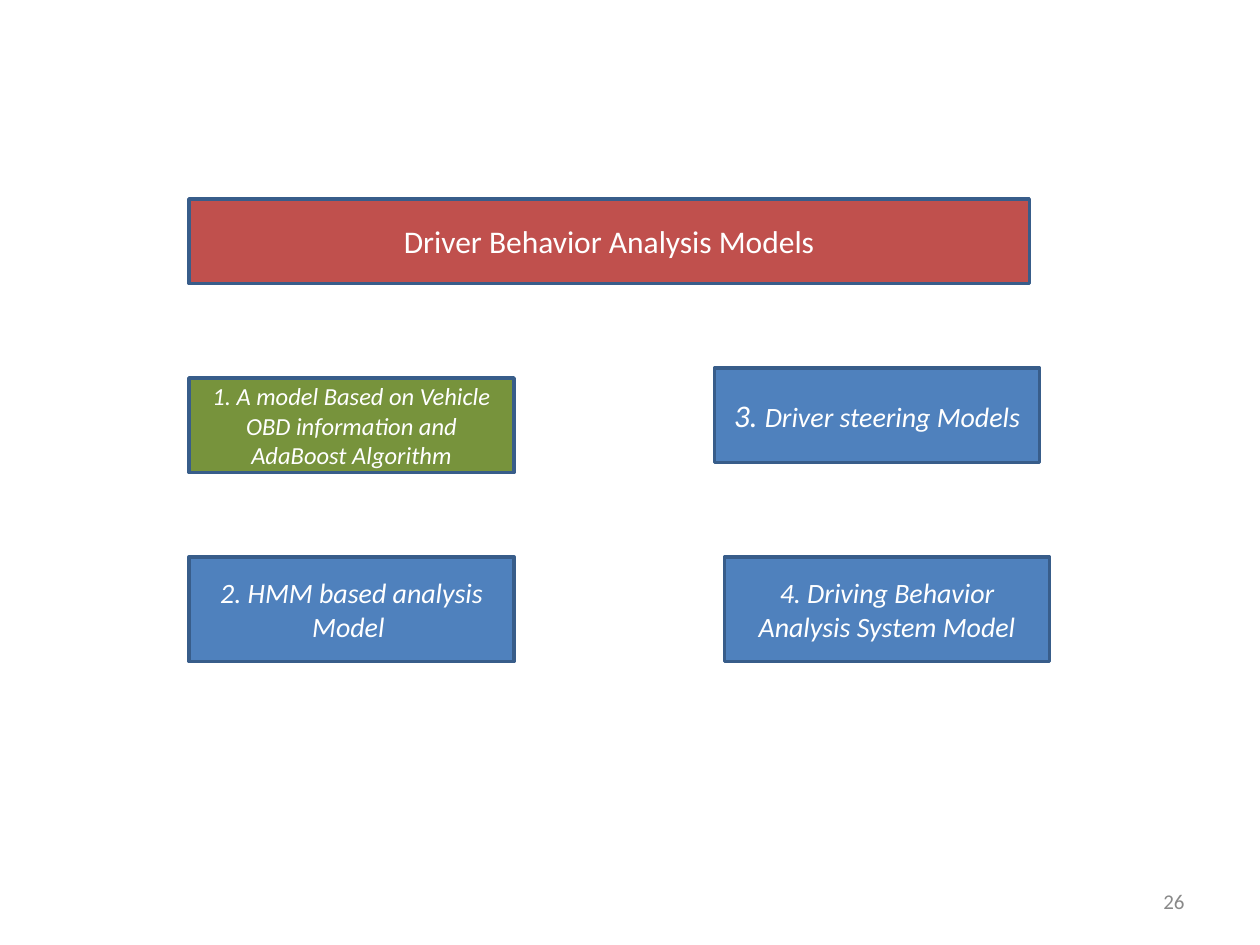
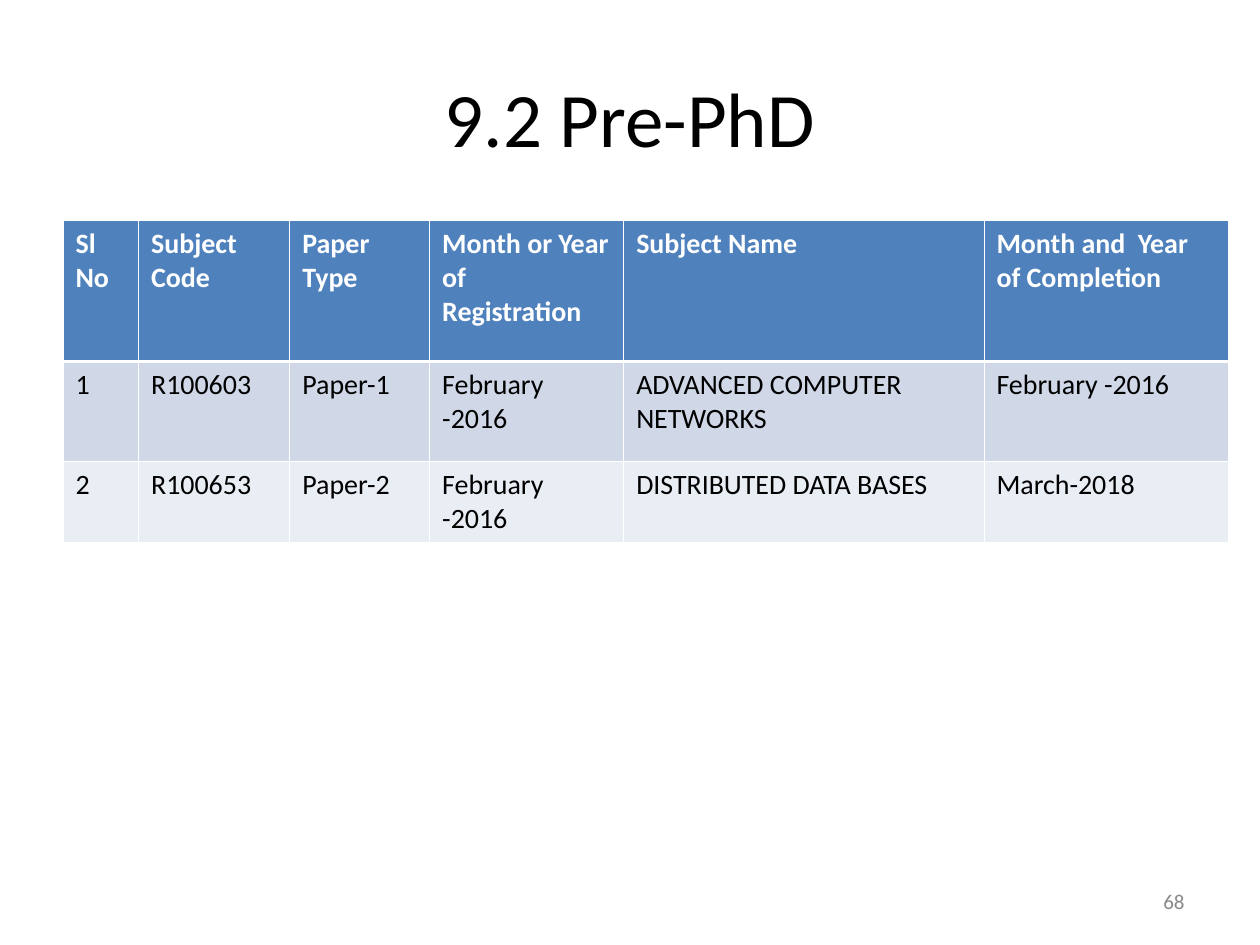
from pptx import Presentation
from pptx.dml.color import RGBColor
from pptx.enum.shapes import MSO_SHAPE as Shape
from pptx.enum.text import MSO_ANCHOR as Anchor, PP_ALIGN as Align
from pptx.oxml import parse_xml
from pptx.oxml.ns import nsdecls
from pptx.util import Inches, Pt

WHITE, BLACK, GRAY = "FFFFFF", "000000", "898989"
RED, GREEN, BLUE, OUTLINE = "C0504D", "77933C", "4F81BD", "385D8A"
ROW_FILLS = [BLUE, "D0D8E8", "E9EDF4"]
THIN, THICK = 0.45, 1.47
BOX_WIDTH = 2.58

TITLE_FORMAT = {"size": Pt(44)}
BANNER_FORMAT = {"size": Pt(18)}
MODEL_FORMAT = {"size": Pt(16), "italic": True}
NUMBER_FORMAT = {"size": Pt(12)}
CELL_FORMAT = {"size": Pt(16)}

SUBJECT_COLUMNS = [0.6, 1.2, 1.11, 1.54, 2.86, 1.94]
SUBJECT_ROW_HEIGHTS = [1.12, 0.79, 0.64]
SUBJECTS = [
    ["Sl No", "Subject Code", "Paper Type", "Month or Year of Registration",
     "Subject Name", "Month and  Year of Completion"],
    ["1", "R100603", "Paper-1", "February -2016",
     "ADVANCED COMPUTER NETWORKS", "February -2016"],
    ["2", "R100653", "Paper-2", "February -2016",
     "DISTRIBUTED DATA BASES", "March-2018"],
]


def color(value):
    return RGBColor.from_string(value)


def add_run(paragraph, text, text_color, values):
    run = paragraph.add_run()
    run.text = text
    run.font.name = "Calibri"
    run.font.color.rgb = color(text_color)
    for name, value in values.items():
        setattr(run.font, name, value)


def prepare_paragraph(shape, alignment):
    frame = shape.text_frame
    frame.word_wrap = True
    frame.vertical_anchor = Anchor.MIDDLE
    paragraph = frame.paragraphs[0]
    paragraph.alignment = alignment
    return paragraph


def add_box(slide, bounds, fill, runs):
    box = slide.shapes.add_shape(Shape.RECTANGLE, *map(Inches, bounds))
    box.shadow.inherit = False
    box.fill.solid()
    box.fill.fore_color.rgb = color(fill)
    box.line.color.rgb = color(OUTLINE)
    box.line.width = Pt(2)
    paragraph = prepare_paragraph(box, Align.CENTER)
    for text, values in runs:
        add_run(paragraph, text, WHITE, values)


def add_title(slide, text):
    title = slide.shapes.title
    title.left, title.top, title.width, title.height = map(Inches, (0.5, 0.3, 9, 1.25))
    add_run(prepare_paragraph(title, Align.CENTER), text, BLACK, TITLE_FORMAT)


def add_slide_number(slide, number):
    box = slide.shapes.add_textbox(*map(Inches, (7.17, 6.95, 2.33, 0.4)))
    add_run(prepare_paragraph(box, Align.RIGHT), str(number), GRAY, NUMBER_FORMAT)


def add_border(cell, side, points):
    cell._tc.get_or_add_tcPr().append(parse_xml(
        f'<a:ln{side} {nsdecls("a")} w="{int(Pt(points))}"><a:solidFill>'
        f'<a:srgbClr val="{WHITE}"/></a:solidFill></a:ln{side}>'))


def format_cell(cell, text, row_index):
    is_header = row_index == 0
    borders = {
        "L": THIN,
        "R": THIN,
        "T": THICK if row_index == 1 else THIN,
        "B": THICK if is_header else THIN,
    }
    for side, points in borders.items():
        add_border(cell, side, points)
    cell.fill.solid()
    cell.fill.fore_color.rgb = color(ROW_FILLS[row_index])
    add_run(cell.text_frame.paragraphs[0], text, WHITE if is_header else BLACK,
            CELL_FORMAT | {"bold": is_header})


def add_subject_table(slide):
    bounds = (0.5, 1.75, sum(SUBJECT_COLUMNS), sum(SUBJECT_ROW_HEIGHTS))
    table = slide.shapes.add_table(
        len(SUBJECTS), len(SUBJECT_COLUMNS), *map(Inches, bounds)).table
    for column, width in zip(table.columns, SUBJECT_COLUMNS):
        column.width = Inches(width)
    for row_index, (row, height) in enumerate(zip(table.rows, SUBJECT_ROW_HEIGHTS)):
        row.height = Inches(height)
        for cell, text in zip(row.cells, SUBJECTS[row_index]):
            format_cell(cell, text, row_index)


def build_models_slide(presentation):
    slide = presentation.slides.add_slide(presentation.slide_layouts[6])
    add_slide_number(slide, 26)
    add_box(slide, (1.5, 1.58, 6.67, 0.67), RED,
            [("Driver Behavior Analysis Models", BANNER_FORMAT)])
    models = [
        (1.5, 3, 0.75, GREEN,
         [("1. A model Based on Vehicle OBD information and AdaBoost Algorithm",
           MODEL_FORMAT | {"size": Pt(14)})]),
        (1.5, 4.42, 0.83, BLUE, [("2. HMM based analysis Model ", MODEL_FORMAT)]),
        (5.67, 2.92, 0.75, BLUE,
         [("3. ", MODEL_FORMAT | {"size": Pt(18)}),
          ("Driver steering Models", MODEL_FORMAT)]),
        (5.75, 4.42, 0.83, BLUE,
         [("4. Driving Behavior Analysis System Model", MODEL_FORMAT)]),
    ]
    for left, top, height, fill, runs in models:
        add_box(slide, (left, top, BOX_WIDTH, height), fill, runs)


def build_subjects_slide(presentation):
    slide = presentation.slides.add_slide(presentation.slide_layouts[5])
    add_title(slide, "9.2 Pre-PhD")
    add_subject_table(slide)
    add_slide_number(slide, 68)


def main():
    presentation = Presentation()
    presentation.slide_width = Inches(10)
    presentation.slide_height = Inches(7.5)
    build_models_slide(presentation)
    build_subjects_slide(presentation)
    presentation.save("out.pptx")


if __name__ == "__main__":
    main()
